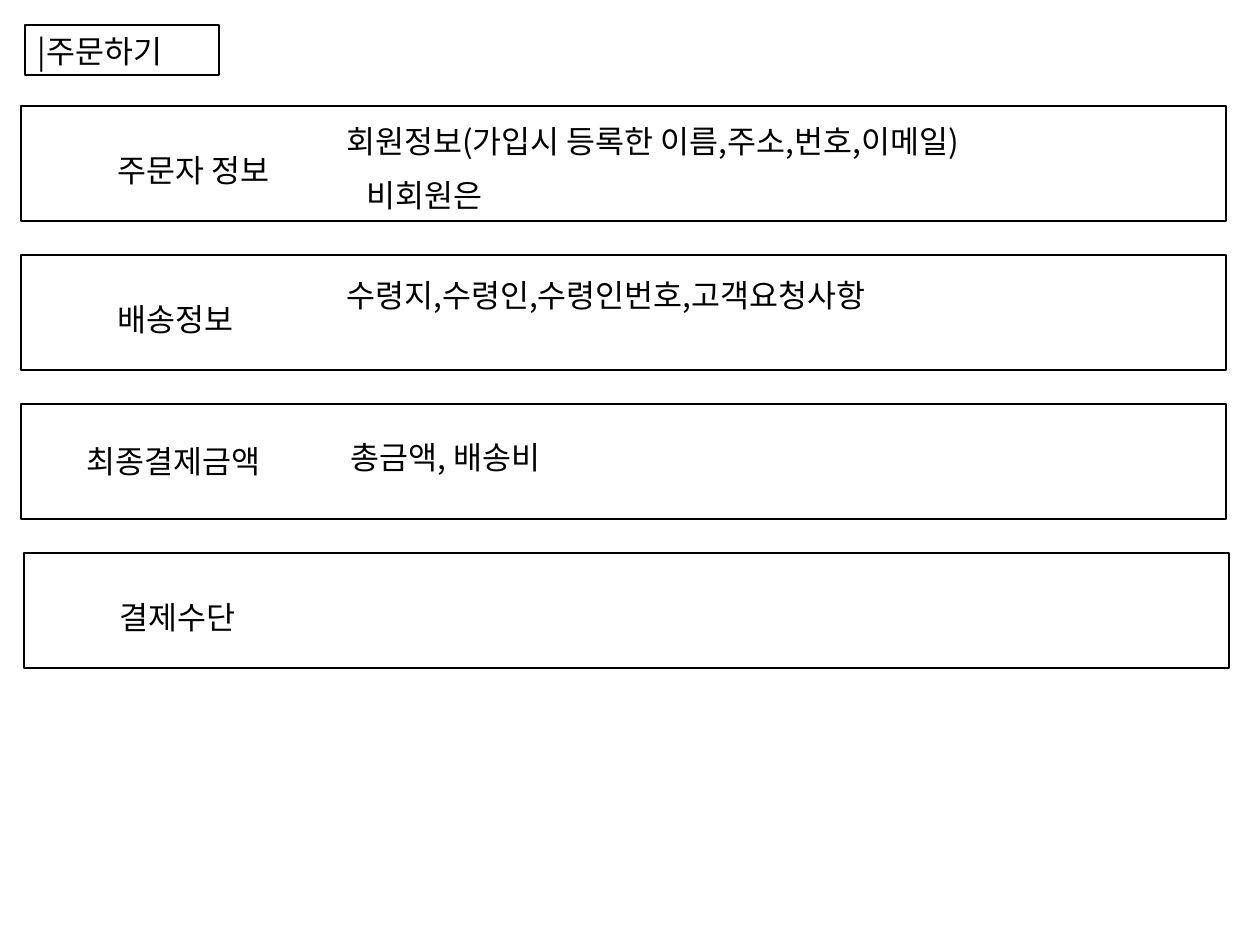
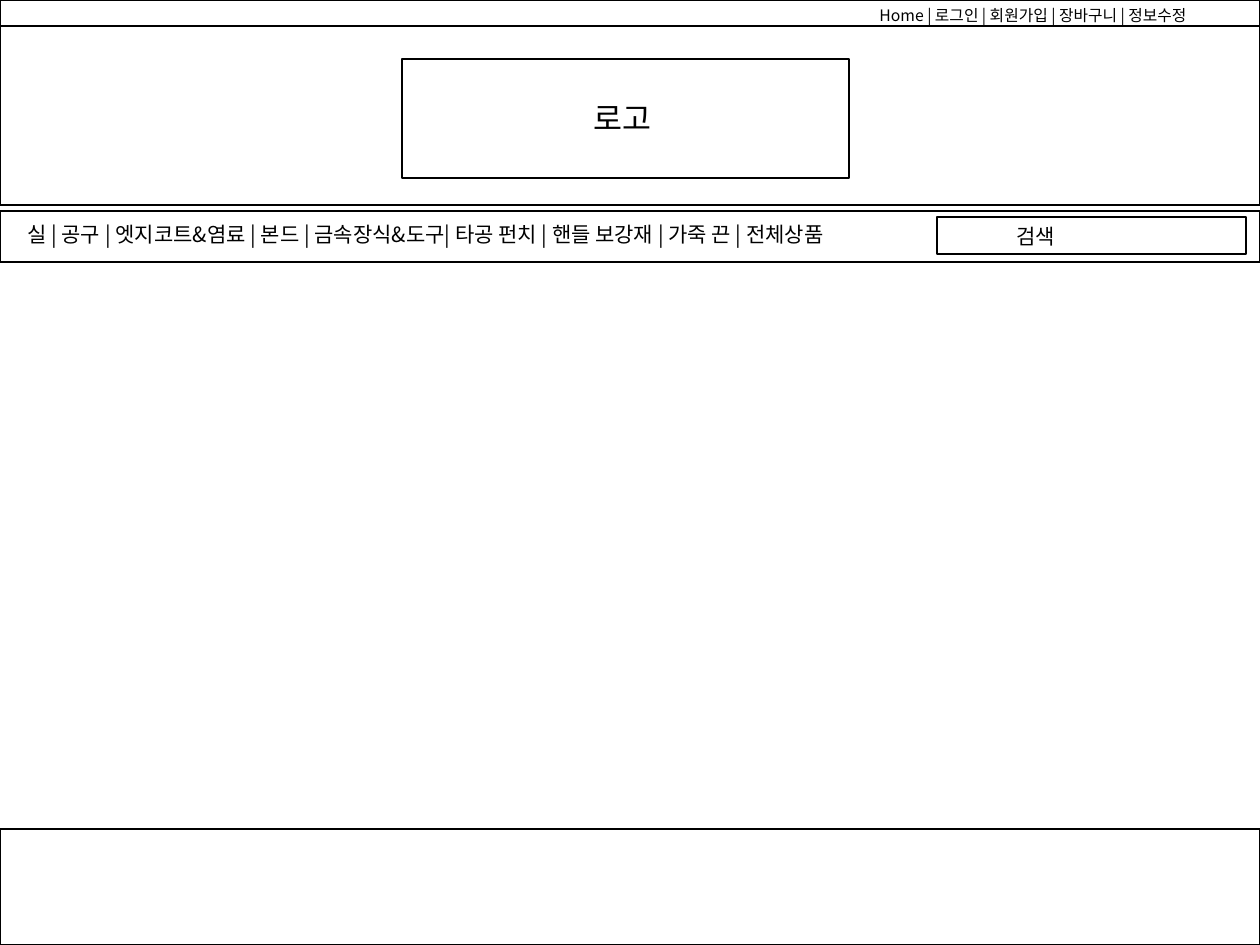
from pptx import Presentation
from pptx import util as u
from pptx.dml import color
from pptx.enum import shapes, text
from pptx.oxml import ns
from lxml import etree

SCALE = 914400 / 126
HUES = {"ink": "000000"}
FONT = "Noto Sans CJK KR"


def px(n):
    return u.Emu(round(n * SCALE))


class Page:
    def __init__(self, deck):
        self.deck = deck
        self.slide = None
        self.ink = color.RGBColor.from_string(HUES["ink"])

    def start(self, kind):
        self.slide = self.deck.slides.add_slide(self.deck.slide_layouts[kind])

    def box(self, x, y, w, h):
        item = self.slide.shapes.add_shape(
            shapes.MSO_SHAPE.RECTANGLE, px(x), px(y), px(w), px(h))
        item.shadow.inherit = False
        item.fill.background()
        item.line.color.rgb = self.ink
        item.line.width = u.Pt(0.75)

    def style(self, item, words, size, wrap):
        frame = item.text_frame
        frame.text = words
        frame.word_wrap = wrap
        frame.auto_size = text.MSO_AUTO_SIZE.SHAPE_TO_FIT_TEXT
        frame.vertical_anchor = text.MSO_ANCHOR.TOP
        for para in frame.paragraphs:
            para.alignment = text.PP_ALIGN.LEFT
            for run in para.runs:
                run.font.size = u.Pt(size)
                run.font.name = FONT
                run.font.color.rgb = self.ink
                latin = run.font._element.find(ns.qn("a:latin"))
                east = etree.Element(ns.qn("a:ea"), typeface=FONT)
                latin.addnext(east)

    def label(self, words, x, y, w, h=50, size=18, wrap=False):
        item = self.slide.shapes.add_textbox(px(x), px(y), px(w), px(h))
        self.style(item, words, size, wrap)

    def title(self, words, x, y, w, h):
        item = self.slide.shapes.title
        item.left, item.top, item.width, item.height = map(px, (x, y, w, h))
        self.style(item, words, 18, True)


deck = Presentation()
deck.slide_width, deck.slide_height = px(1260), px(945)
page = Page(deck)

page.start(5)
page.box(25, 25, 194, 50)
page.title("|주문하기", 25, 26, 159, 50)
rows = [
    ("주문자 정보", 21, 105, 145, 195),
    ("배송정보", 21, 105, 145, 152),
    ("최종결제금액", 21, 74, 138, 217),
    ("결제수단", 24, 107, 145, 152),
]
for i, (name, left, x, y, w) in enumerate(rows):
    top = 106 + 149 * i
    page.box(left, top, 1205, 115)
    page.label(name, x, y + 149 * i, w)
details = [
    ("회원정보(가입시 등록한 이름,주소,번호,이메일)", 334, 116, 798),
    ("비회원은", 354, 170, 798),
    ("수령지,수령인,수령인번호,고객요청사항", 334, 270, 587),
    ("총금액, 배송비", 338, 432, 576),
]
for words, x, y, w in details:
    page.label(words, x, y, w, wrap=True)

page.start(6)
for y, h in [(0, 26), (26, 179), (211, 51), (829, 116)]:
    page.box(0, y, 1260, h)
page.box(402, 59, 447, 119)
page.box(937, 217, 309, 37)
links = ["Home", "로그인", "회원가입", "장바구니", "정보수정"]
page.label(" | ".join(links), 867, 0, 367, 71, 9)
page.label("로고", 581, 93, 89)
goods = ("실 | 공구 | 엣지코트&염료 | 본드 | 금속장식&도구| "
         "타공 펀치 | 핸들 보강재 | 가죽 끈 | 전체상품")
page.label(goods, 15, 215, 943, 38, 12, True)
page.label("검색", 1004, 217, 68, 38, 12)

deck.save("out.pptx")
